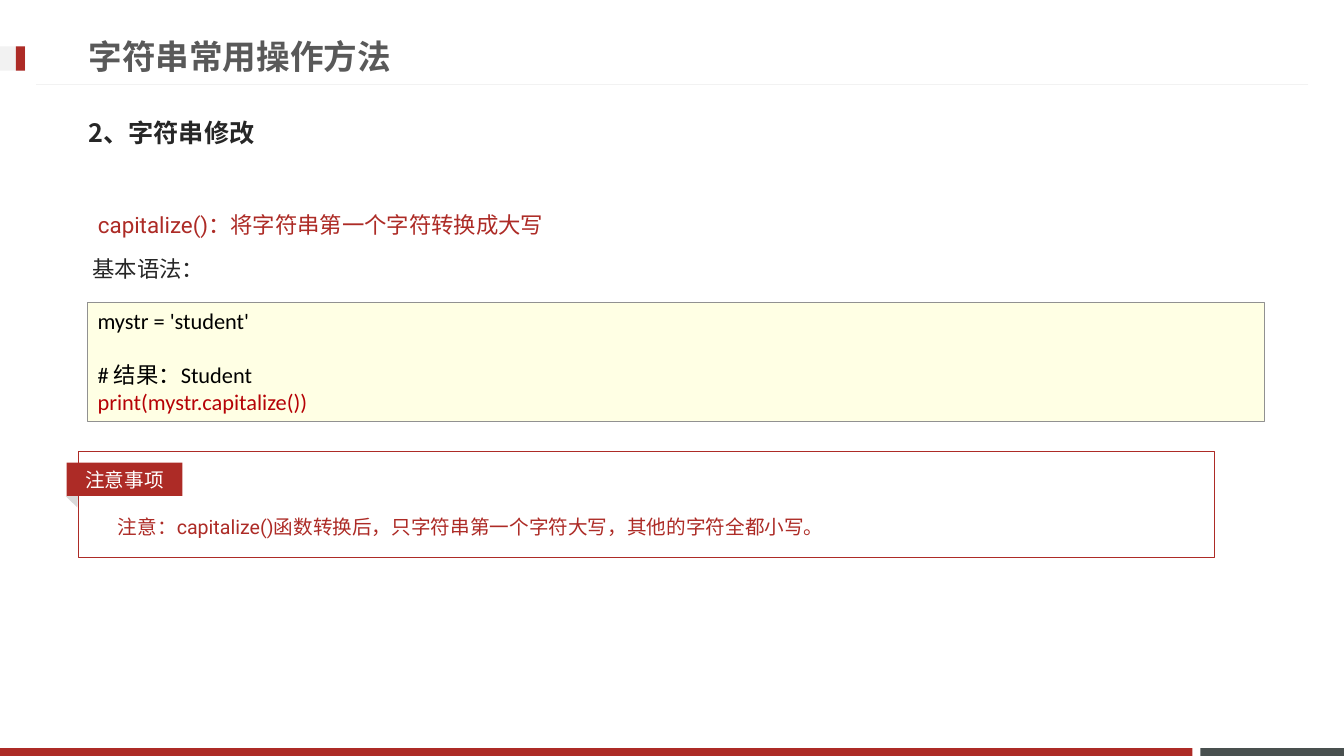
from dataclasses import dataclass
from typing import Optional

from lxml.etree import SubElement
from pptx import Presentation
from pptx.dml.color import RGBColor
from pptx.enum.shapes import MSO_CONNECTOR, MSO_SHAPE
from pptx.enum.text import MSO_ANCHOR, PP_ALIGN
from pptx.oxml.ns import qn
from pptx.util import Cm, Pt

RED = "AD2B26"
PALE_GRAY = "F2F2F2"
DARK_GRAY = "262626"
CJK_FONT = "Noto Sans CJK JP"


@dataclass
class Box:
    """Position and size in centimetres."""
    left: float
    top: float
    width: float
    height: float

    def lengths(self) -> tuple:
        return Cm(self.left), Cm(self.top), Cm(self.width), Cm(self.height)


@dataclass
class Block:
    box: Box
    fill: Optional[str] = None
    line: Optional[str] = None
    line_width: float = 0.75
    preset: MSO_SHAPE = MSO_SHAPE.RECTANGLE
    rotation: float = 0


@dataclass
class Line:
    text: str
    color: str
    space_before: float = 0


def color_of(value: str) -> RGBColor:
    return RGBColor.from_string(value)


def add_block(slide, block: Block):
    shape = slide.shapes.add_shape(block.preset, *block.box.lengths())
    shape.shadow.inherit = False
    shape.rotation = block.rotation
    if block.fill:
        shape.fill.solid()
        shape.fill.fore_color.rgb = color_of(block.fill)
    else:
        shape.fill.background()
    if block.line:
        shape.line.color.rgb = color_of(block.line)
        shape.line.width = Pt(block.line_width)
    else:
        shape.line.fill.background()
    return shape


def add_rule(slide, left: float, right: float, top: float, color: str) -> None:
    rule = slide.shapes.add_connector(
        MSO_CONNECTOR.STRAIGHT, Cm(right), Cm(top), Cm(left), Cm(top))
    rule.line.color.rgb = color_of(color)
    rule.line.width = Pt(0.75)
    SubElement(rule._element.spPr, qn("a:effectLst"))


def write_text(shape, lines: list[Line], *, size: float, font: str = "Roboto",
               bold: bool = False, anchor=MSO_ANCHOR.TOP, align=PP_ALIGN.LEFT,
               line_spacing: float = 1.0) -> None:
    frame = shape.text_frame
    frame.word_wrap = True
    frame.vertical_anchor = anchor
    for index, line in enumerate(lines):
        paragraph = frame.add_paragraph() if index else frame.paragraphs[0]
        paragraph.alignment = align
        paragraph.line_spacing = line_spacing
        paragraph.space_before = Pt(line.space_before)
        run = paragraph.add_run()
        run.text = line.text
        run.font.name = font
        run.font.size = Pt(size)
        run.font.bold = bold
        run.font.color.rgb = color_of(line.color)
        SubElement(run.font._element, qn("a:ea"), typeface=CJK_FONT)


def add_text(slide, box: Box, lines: list[Line], **text_format) -> None:
    write_text(slide.shapes.add_textbox(*box.lengths()), lines, **text_format)


def add_frame(slide) -> None:
    """Draw the footer bars, the title marker and the rule under the title."""
    for block in (
        Block(Box(30.25, 18.85, 3.62, 0.2), "49504F"),
        Block(Box(0, 18.85, 30.05, 0.2), RED),
        Block(Box(0, 1.17, 0.64, 0.61), PALE_GRAY),
        Block(Box(0.4, 1.17, 0.23, 0.61), RED),
    ):
        add_block(slide, block)
    add_rule(slide, 0.9, 32.97, 2.13, PALE_GRAY)


def add_method(slide) -> None:
    add_text(slide, Box(2.08, 4.85, 29.87, 11.71), [
        Line(" capitalize()：将字符串第一个字符转换成大写", RED, 3.2),
        Line("基本语法：", DARK_GRAY, 3.2),
    ], size=16, line_spacing=1.5)
    code = add_block(slide, Block(Box(2.21, 7.62, 29.64, 2.99), "FFFFE4", "919191", 0.25))
    write_text(code, [
        Line("mystr = 'student'", "000000"),
        Line("# 结果：Student", "000000", 19.5),
        Line("print(mystr.capitalize())", "B60206"),
    ], size=16, font="Calibri")


def add_notice(slide) -> None:
    add_block(slide, Block(Box(1.68, 12.45, 0.41, 0.23), "D9D9D9",
                           preset=MSO_SHAPE.ISOSCELES_TRIANGLE, rotation=44.2))
    add_text(slide, Box(2.72, 12.55, 27.15, 1.07), [
        Line("注意：capitalize()函数转换后，只字符串第一个字符大写，其他的字符全都小写。", RED),
    ], size=14, line_spacing=1.5)
    add_block(slide, Block(Box(1.98, 11.38, 28.63, 2.67), line=RED))
    label = add_block(slide, Block(Box(1.68, 11.66, 2.92, 0.84), RED))
    write_text(label, [Line("注意事项", "FFFFFF")], size=14,
               anchor=MSO_ANCHOR.MIDDLE, align=PP_ALIGN.CENTER)


def main() -> None:
    presentation = Presentation()
    presentation.slide_width, presentation.slide_height = Cm(33.87), Cm(19.05)
    slide = presentation.slides.add_slide(presentation.slide_layouts[6])
    add_frame(slide)
    add_text(slide, Box(1.98, 0.69, 24.36, 1.45), [Line("字符串常用操作方法", "595959")],
             size=24, bold=True, anchor=MSO_ANCHOR.MIDDLE)
    add_text(slide, Box(1.98, 2.62, 29.87, 1.45), [Line("2、字符串修改", DARK_GRAY)],
             size=18, font=CJK_FONT, bold=True, anchor=MSO_ANCHOR.MIDDLE)
    add_method(slide)
    add_notice(slide)
    presentation.save("out.pptx")


if __name__ == "__main__":
    main()
